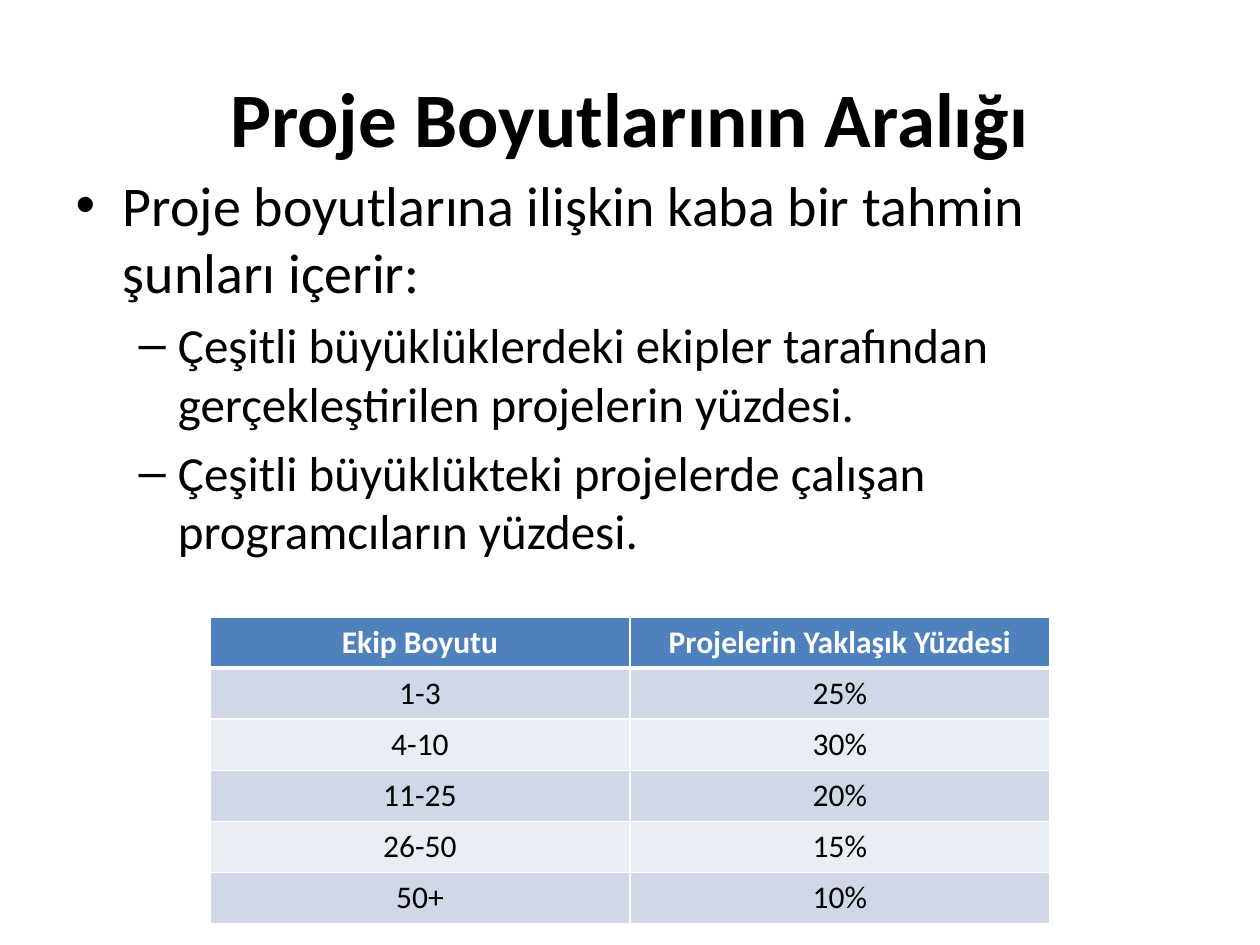
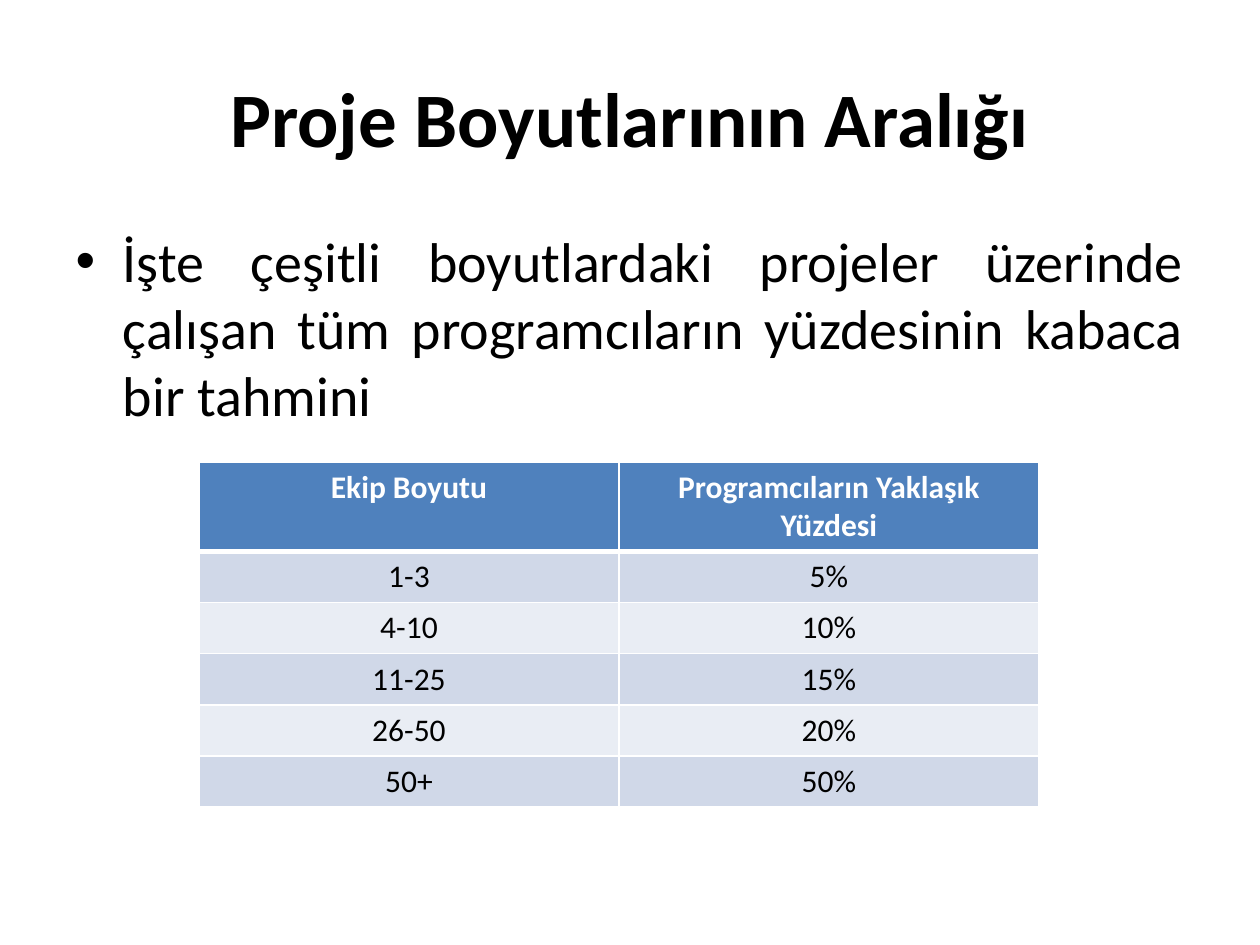
from lxml import etree
from pptx import Presentation
from pptx import util as u
from pptx.dml.color import RGBColor
from pptx.enum import text
from pptx.oxml import ns

PX = u.Inches(1) / 126
FONT = "Calibri"
BLACK = RGBColor(0x00, 0x00, 0x00)
WHITE = RGBColor(0xFF, 0xFF, 0xFF)
HEADER = RGBColor(0x4F, 0x81, 0xBD)
BANDS = [RGBColor(0xE9, 0xED, 0xF4), RGBColor(0xD0, 0xD8, 0xE8)]
LEFT, CENTER, JUSTIFY = (text.PP_ALIGN.LEFT, text.PP_ALIGN.CENTER,
                         text.PP_ALIGN.JUSTIFY)

TITLE = "Proje Boyutlarının Aralığı"
TITLE_BOX = (63, 38, 1134, 158)
COL_W, ROW_H = 420, 51
SIZES = [32, 28]  # by list level
TEAMS = ["1-3", "4-10", "11-25", "26-50", "50+"]

SLIDES = [
    dict(body_top=164, align=LEFT, table_at=(210, 617),
         items=[(0, "Proje boyutlarına ilişkin kaba bir tahmin şunları içerir:"),
                (1, "Çeşitli büyüklüklerdeki ekipler tarafından "
                    "gerçekleştirilen projelerin yüzdesi."),
                (1, "Çeşitli büyüklükteki projelerde çalışan "
                    "programcıların yüzdesi.")],
         heading="Projelerin Yaklaşık Yüzdesi",
         shares=["25%", "30%", "20%", "15%", "10%"]),
    dict(body_top=220, align=JUSTIFY, table_at=(199, 462),
         items=[(0, "İşte çeşitli boyutlardaki projeler üzerinde çalışan tüm "
                    "programcıların yüzdesinin kabaca bir tahmini")],
         heading="Programcıların Yaklaşık Yüzdesi",
         shares=["5%", "10%", "15%", "20%", "50%"]),
]


def emu(*px):
    return [round(v * PX) for v in px]


def write(p, content, size, color=BLACK, bold=False, align=LEFT):
    p.alignment = align
    r = p.add_run()
    r.text = content
    r.font.name, r.font.size, r.font.bold = FONT, u.Pt(size), bold
    r.font.color.rgb = color


prs = Presentation()
prs.slide_width, prs.slide_height = emu(1260, 945)

for data in SLIDES:
    s = prs.slides.add_slide(prs.slide_layouts[1])
    title, body = s.placeholders
    boxes = [TITLE_BOX, (63, data["body_top"], 1134, 624)]
    for sp, box in zip((title, body), boxes):
        sp.left, sp.top, sp.width, sp.height = emu(*box)
        sp.text_frame.auto_size = text.MSO_AUTO_SIZE.NONE
    write(title.text_frame.paragraphs[0], TITLE, 44, bold=True, align=CENTER)

    tf = body.text_frame
    for i, (level, item) in enumerate(data["items"]):
        p = tf.add_paragraph() if i else tf.paragraphs[0]
        p.level = level
        write(p, item, SIZES[level], align=data["align"])

    rows = [("Ekip Boyutu", data["heading"]), *zip(TEAMS, data["shares"])]
    table = s.shapes.add_table(
        len(rows), 2,
        *emu(*data["table_at"], 2 * COL_W, len(rows) * ROW_H)).table
    for i, row in enumerate(rows):
        is_header = i == 0
        for j, content in enumerate(row):
            cell = table.cell(i, j)
            write(cell.text_frame.paragraphs[0], content, 18,
                  color=WHITE if is_header else BLACK,
                  bold=is_header, align=CENTER)
            tc_pr = cell._tc.get_or_add_tcPr()
            for side in "LRTB":
                thick = (side == "B" and i == 0) or (side == "T" and i == 1)
                ln = etree.SubElement(tc_pr, ns.qn(f"a:ln{side}"),
                                      w=str(u.Pt(3 if thick else 1)))
                line_fill = etree.SubElement(ln, ns.qn("a:solidFill"))
                etree.SubElement(line_fill, ns.qn("a:srgbClr"), val=str(WHITE))
            cell.fill.solid()
            cell.fill.fore_color.rgb = HEADER if is_header else BANDS[i % 2]

prs.save("out.pptx")
